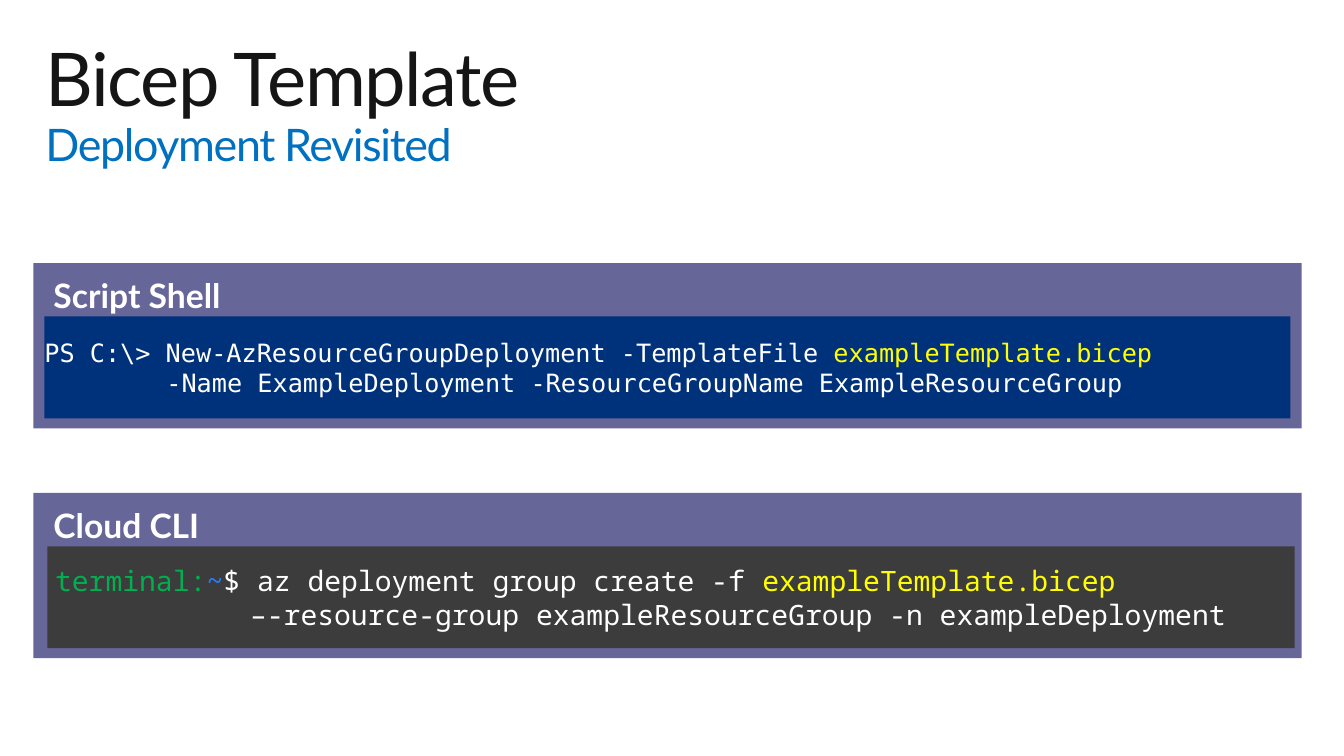
"""Build a slide that shows a Bicep deployment in two shells."""
import pptx
import pptx.dml.color
import pptx.enum.shapes
import pptx.enum.text
import pptx.util

WIDTH, HEIGHT = pptx.util.Inches(13.33), pptx.util.Inches(7.5)
COLS = ROWS = 100
COLORS = {
    "ink": "151515", "blue": "0070C0", "panel": "666699", "white": "FFFFFF",
    "navy": "00317B", "coal": "3C3C3C", "green": "00B050", "sky": "287EFF",
    "yellow": "FFFF00",
}
PANEL_LEFT, PANEL_WIDTH, PANEL_HEIGHT = 2.48, 94.37, 21.87
CODE_DROP, CODE_HEIGHT = 7.07, 13.47


def col(count):
    """Return the length of a number of grid columns."""
    return int(WIDTH * count / COLS)


def row(count):
    """Return the length of a number of grid rows."""
    return int(HEIGHT * count / ROWS)


def color(name):
    """Return a named colour."""
    return pptx.dml.color.RGBColor.from_string(COLORS[name])


def write(para, text, size=24, font="Lato", ink="white", bold=False, track=None):
    """Add a run of text in the given format."""
    run = para.add_run()
    run.text = text
    run.font.size = pptx.util.Pt(size)
    run.font.name = font
    run.font.bold = bold
    run.font.color.rgb = color(ink)
    if track is not None:
        run.font._element.set("spc", str(track))


def set_frame(frame, side, edge, anchor="TOP"):
    """Set the wrap, anchor and insets of a text frame."""
    frame.word_wrap = True
    frame.vertical_anchor = getattr(pptx.enum.text.MSO_ANCHOR, anchor)
    frame.margin_left = frame.margin_right = pptx.util.Inches(side)
    frame.margin_top = frame.margin_bottom = pptx.util.Inches(edge)


def add_line(frame, first, space=1.0, indent=0):
    """Return a left-aligned paragraph, reusing the first one."""
    para = frame.paragraphs[0] if first else frame.add_paragraph()
    para.alignment = pptx.enum.text.PP_ALIGN.LEFT
    para.line_spacing = space
    props = para._p.get_or_add_pPr()
    props.set("marL", str(col(indent)))
    props.set("indent", "0")
    return para


def add_box(slide, left, top, width, height, fill):
    """Add a plain filled box and return its text frame."""
    box = slide.shapes.add_shape(
        pptx.enum.shapes.MSO_SHAPE.RECTANGLE,
        col(left), row(top), col(width), row(height))
    box.shadow.inherit = False
    box.fill.solid()
    box.fill.fore_color.rgb = color(fill)
    box.line.fill.background()
    return box.text_frame


def add_title(slide, title, detail):
    """Add the title with its second line."""
    frame = slide.shapes.add_textbox(
        col(2.18), row(4.27), col(95.65), row(13.07)).text_frame
    set_frame(frame, 0.16, 0.1)
    write(add_line(frame, True, 0.9), title, size=52.9, ink="ink", track=-100)
    write(add_line(frame, False, 0.9), detail, size=32, ink="blue", track=-100)


def add_panel(slide, top, label, left, width, fill, lines, **style):
    """Add a labelled panel with a block of code in it."""
    frame = add_box(slide, PANEL_LEFT, top, PANEL_WIDTH, PANEL_HEIGHT, "panel")
    set_frame(frame, 0.2, 0.16)
    write(add_line(frame, True, 0.9), label, bold=True)
    frame = add_box(slide, left, top + CODE_DROP, width, CODE_HEIGHT, fill)
    set_frame(frame, 0, 0.05, "MIDDLE")
    for place, (indent, parts) in enumerate(lines):
        para = add_line(frame, place == 0, indent=indent)
        for text, ink in parts:
            write(para, text, ink=ink, **style)


def main():
    """Build and save the slide."""
    deck = pptx.Presentation()
    deck.slide_width, deck.slide_height = WIDTH, HEIGHT
    slide = deck.slides.add_slide(deck.slide_layouts[6])
    add_title(slide, "Bicep Template", "Deployment Revisited")
    add_panel(slide, 34.8, "Script Shell", 3.3, 92.72, "navy", [
        (0, [("PS C:\\> New-AzResourceGroupDeployment -TemplateFile ", "white"),
             ("exampleTemplate.bicep", "yellow")]),
        (9.08, [("-Name ExampleDeployment -ResourceGroupName ExampleResourceGroup",
                 "white")]),
    ], size=18, font="DejaVu Sans Mono")
    add_panel(slide, 65.2, "Cloud CLI", 3.53, 92.8, "coal", [
        (0.57, [("terminal:", "green"), ("~", "sky"),
                ("$ az deployment group create -f ", "white"),
                ("exampleTemplate.bicep", "yellow")]),
        (15.08, [("–-resource-group exampleResourceGroup -n exampleDeployment",
                  "white")]),
    ], size=20, font="Noto Sans Mono")
    deck.save("out.pptx")


if __name__ == "__main__":
    main()
